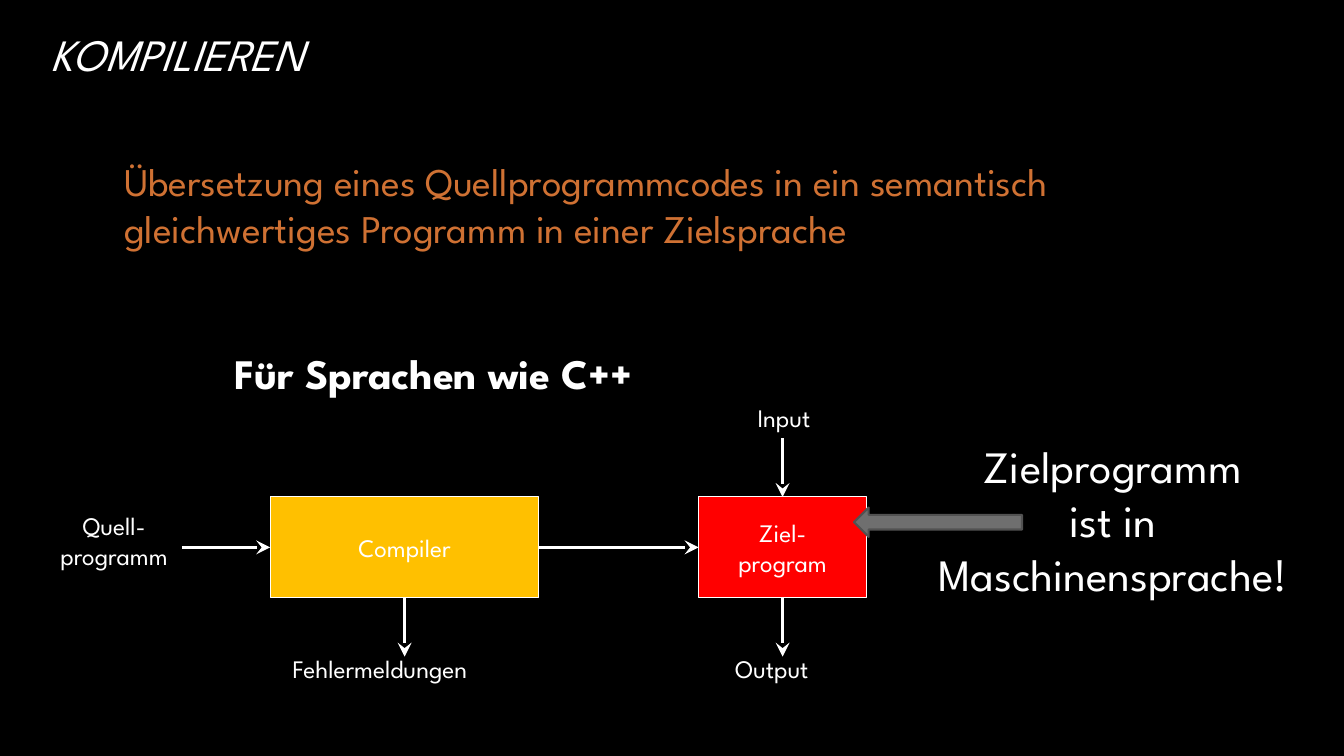
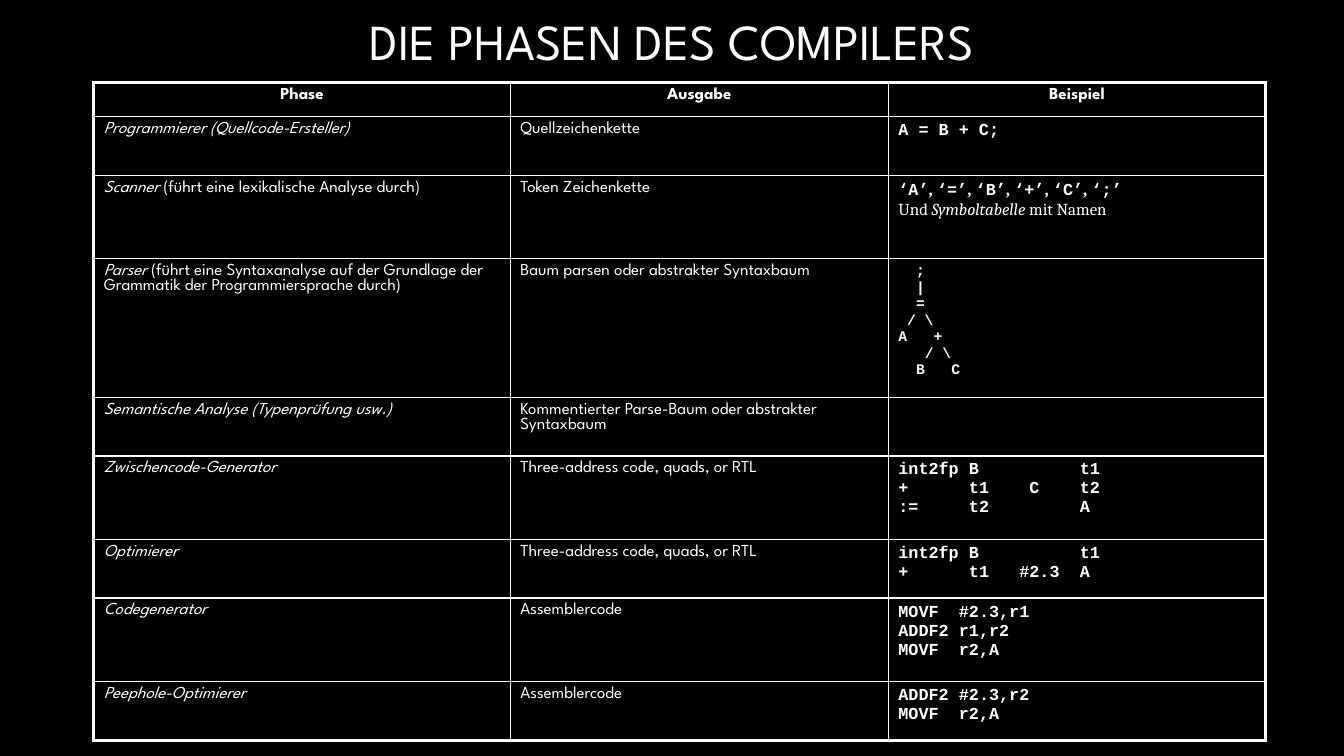
import pptx
import pptx.dml.color
import pptx.enum.shapes
import pptx.enum.text
import pptx.oxml
import pptx.oxml.ns
import pptx.util
from lxml import etree

Pt = pptx.util.Pt
ALIGN = pptx.enum.text.PP_ALIGN
ANCHOR = pptx.enum.text.MSO_ANCHOR
SHAPE = pptx.enum.shapes.MSO_SHAPE
qn = pptx.oxml.ns.qn

SANS, CODE, SERIF, ROMAN = "League Spartan", "Courier New", "Cambria", "Times New Roman"
WHITE, BLACK = "FFFFFF", "000000"
ORANGE, AMBER, RED = "CF7133", "FFC000", "FF0000"
GREY, DARK_GREY = "6F6F6F", "525252"


def color(value):
    return pptx.dml.color.RGBColor.from_string(value)


def write(frame, paragraphs, size=18, font=SANS, ink=WHITE, bold=False, italic=False,
          align=ALIGN.LEFT, anchor=ANCHOR.TOP, wrap=True, before=0, spacing=1.0):
    """Fill a frame; a paragraph is a string or a list of (text, format changes)."""
    frame.word_wrap = wrap
    frame.vertical_anchor = anchor
    for number, spans in enumerate(paragraphs):
        para = frame.paragraphs[0] if number == 0 else frame.add_paragraph()
        para.alignment = align
        para.space_before = Pt(before)
        para.line_spacing = spacing
        for text, changes in [(spans, {})] if isinstance(spans, str) else spans:
            span = para.add_run()
            span.text = text
            span.font.size = Pt(size)
            span.font.name = changes.get("font", font)
            span.font.bold = changes.get("bold", bold)
            span.font.italic = changes.get("italic", italic)
            span.font.color.rgb = color(ink)


def add_text(page, box, paragraphs, **style):
    write(page.shapes.add_textbox(*map(Pt, box)).text_frame, paragraphs, **style)


def add_box(page, kind, box, fill, line, width):
    shape = page.shapes.add_shape(kind, *map(Pt, box))
    shape.shadow.inherit = False
    shape.fill.solid()
    shape.fill.fore_color.rgb = color(fill)
    shape.line.color.rgb = color(line)
    shape.line.width = Pt(width)
    return shape


def add_arrow(page, start, end):
    arrow = page.shapes.add_connector(
        pptx.enum.shapes.MSO_CONNECTOR.STRAIGHT, *map(Pt, (*start, *end)))
    arrow.line.color.rgb = color(WHITE)
    arrow.line.width = Pt(2)
    etree.SubElement(arrow.line._get_or_add_ln(), qn("a:tailEnd"),
                     type="stealth", w="lg", len="lg")
    etree.SubElement(arrow._element.spPr, qn("a:effectLst"))


def add_page(deck, title, box, **style):
    page = deck.slides.add_slide(deck.slide_layouts.get_by_name("Title Only"))
    holder = page.shapes.title
    holder.left, holder.top, holder.width, holder.height = map(Pt, box)
    holder.text_frame.auto_size = pptx.enum.text.MSO_AUTO_SIZE.NONE
    write(holder.text_frame, [title], anchor=ANCHOR.MIDDLE, **style)
    return page


def draw_compiler_flow(page, left, top):
    """Place the flow; left and top are the corner of the source label and Input label."""
    height, arrow = 72, 42
    row_top = top + 71
    row_bottom = row_top + height
    middle = row_top + height / 2
    compiler, compiler_width = left + 166, 192
    target, target_width = left + 472, 120
    compiler_center = compiler + compiler_width / 2
    target_center = target + target_width / 2

    for edge, width, fill, lines in ((compiler, compiler_width, AMBER, ["Compiler"]),
                                     (target, target_width, RED, ["Ziel-", "program"])):
        step = add_box(page, SHAPE.RECTANGLE, (edge, row_top, width, height), fill, WHITE, 0.75)
        write(step.text_frame, lines, align=ALIGN.CENTER, anchor=ANCHOR.MIDDLE, wrap=False)

    for start, end in (((compiler - 63, middle), (compiler, middle)),
                       ((compiler + compiler_width, middle), (target, middle)),
                       ((compiler_center, row_bottom), (compiler_center, row_bottom + arrow)),
                       ((target_center, row_bottom), (target_center, row_bottom + arrow)),
                       ((target_center, row_top - arrow), (target_center, row_top))):
        add_arrow(page, start, end)

    add_text(page, (left, middle - 30, 109, 51), ["Quell-", "programm"], align=ALIGN.CENTER)
    below = row_bottom + 36
    for label, x, y, width in (("Fehlermeldungen", compiler + 9, below, 183),
                               ("Output", target + 19, below, 81),
                               ("Input", target + 35, top, 65)):
        add_text(page, (x, y, width, 36), [label])


def build_compile_page(deck):
    page = add_page(deck, "KOMPILIEREN", (29, 8, 641, 60), size=32, italic=True)
    add_text(page, (81.5, 98, 816, 96),
             ["Übersetzung eines Quellprogrammcodes in ein semantisch "
              "gleichwertiges Programm in einer Zielsprache"],
             size=28, ink=ORANGE, anchor=ANCHOR.MIDDLE, before=3.6)
    draw_compiler_flow(page, 27, 284)
    add_text(page, (91, 245, 438, 44), ["Für Sprachen wie C++"],
             size=30, bold=True, align=ALIGN.CENTER)
    add_text(page, (655, 310, 280, 124), ["Zielprogramm", "ist in Maschinensprache!"],
             size=32, align=ALIGN.CENTER)
    add_box(page, SHAPE.LEFT_ARROW, (610, 362.5, 120, 21), GREY, DARK_GREY, 1.5)


def set_borders(cell, widths):
    properties = cell._tc.get_or_add_tcPr()
    for side, width in zip("LRTB", widths):
        line = etree.SubElement(properties, qn("a:ln" + side), w=str(Pt(width)))
        fill = etree.SubElement(line, qn("a:solidFill"))
        etree.SubElement(fill, qn("a:srgbClr"), val=WHITE)


def write_code(frame, lines, size=12):
    """Write code lines, each (text, tab columns counted in characters)."""
    write(frame, [text for text, _ in lines], size=size, font=CODE, bold=True)
    for para, (_, columns) in zip(frame.paragraphs, lines):
        if columns:
            tabs = etree.SubElement(para._p.get_or_add_pPr(), qn("a:tabLst"))
            for column in columns:
                etree.SubElement(tabs, qn("a:tab"), pos=str(Pt(column * size * 0.6)), algn="l")


def code(*lines, columns=()):
    return [(line, columns) for line in lines]


def token_line():
    spans = []
    for token in "A=B+C;":
        if spans:
            spans.append((", ", {"font": ROMAN}))
        spans.append((f"‘{token}’", {}))
    return spans


TREE = [("\t;", (2,)), ("\t|", (2,)), ("\t=", (2,)), ("\t/ \\", (1,)),
        ("A\t+", (4,)), ("\t/ \\", (3,)), ("\tB\tC", (2, 6))]
SYMBOLS = [("Und ", {}), ("Symboltabelle ", {"italic": True}), ("mit Namen", {})]
# Row height, phase, explanation of the phase, output, code example
PHASES = [
    (42, "Programmierer (Quellcode-Ersteller)", "", "Quellzeichenkette", code("A = B + C;")),
    (59.5, "Scanner", " (führt eine lexikalische Analyse durch)", "Token Zeichenkette", None),
    (99, "Parser", " (führt eine Syntaxanalyse auf der Grundlage der Grammatik der "
     "Programmiersprache durch)", "Baum parsen oder abstrakter Syntaxbaum", TREE),
    (42, "Semantische Analyse (Typenprüfung usw.)", "",
     "Kommentierter Parse-Baum oder abstrakter Syntaxbaum", []),
    (59.5, "Zwischencode-Generator", "", "Three-address code, quads, or RTL",
     code("int2fp\tB\t\tt1", "+\tt1\tC\tt2", ":=\tt2\t\tA", columns=(7, 13, 18))),
    (42, "Optimierer", "", "Three-address code, quads, or RTL",
     code("int2fp\tB\t\tt1", "+\tt1\t#2.3\tA", columns=(7, 12, 18))),
    (59.5, "Codegenerator", "", "Assemblercode",
     code("MOVF\t#2.3,r1", "ADDF2\tr1,r2", "MOVF\tr2,A", columns=(6,))),
    (42, "Peephole-Optimierer", "", "Assemblercode",
     code("ADDF2\t#2.3,r2", "MOVF\tr2,A", columns=(6,))),
]


def add_phase_table(page, left, top):
    widths = (297.5, 270, 269.5)
    heights = [24.3] + [phase[0] for phase in PHASES]
    table = page.shapes.add_table(len(heights), len(widths), Pt(left), Pt(top),
                                  Pt(sum(widths)), Pt(sum(heights))).table
    table.first_row = table.horz_banding = False
    for column, width in zip(table.columns, widths):
        column.width = Pt(width)
    for row, height in zip(table.rows, heights):
        row.height = Pt(height)

    last_row, last_column = len(heights) - 1, len(widths) - 1
    for r, row in enumerate(table.rows):
        for c, cell in enumerate(row.cells):
            outer = (c == 0, c == last_column, r == 0, r == last_row)
            set_borders(cell, [2.25 if edge else 1 for edge in outer])
            cell.fill.solid()
            cell.fill.fore_color.rgb = color(BLACK)

    for cell, heading in zip(table.rows[0].cells, ("Phase", "Ausgabe", "Beispiel")):
        write(cell.text_frame, [heading], size=12, bold=True, align=ALIGN.CENTER)
    for r, (_, phase, detail, output, example) in enumerate(PHASES, 1):
        name, result, sample = (cell.text_frame for cell in table.rows[r].cells)
        spans = [(phase, {"italic": True})] + ([(detail, {})] if detail else [])
        write(name, [spans], size=12)
        write(result, [output], size=12)
        if example is None:
            plain = [(text, {"font": SERIF, "bold": False, **look}) for text, look in SYMBOLS]
            write(sample, [token_line(), plain], size=12, font=CODE, bold=True)
        else:
            write_code(sample, example, size=10.5 if example is TREE else 12)


def build_phases_page(deck):
    page = add_page(deck, "DIE PHASEN DES COMPILERS", (0, 5, 960, 47),
                    size=36, align=ALIGN.CENTER)
    add_phase_table(page, 67, 59)


def main():
    deck = pptx.Presentation()
    deck.slide_width, deck.slide_height = Pt(960), Pt(540)
    background = deck.slide_master.background.fill
    background.solid()
    background.fore_color.rgb = color(BLACK)
    build_compile_page(deck)
    build_phases_page(deck)
    deck.save("out.pptx")


if __name__ == "__main__":
    main()
